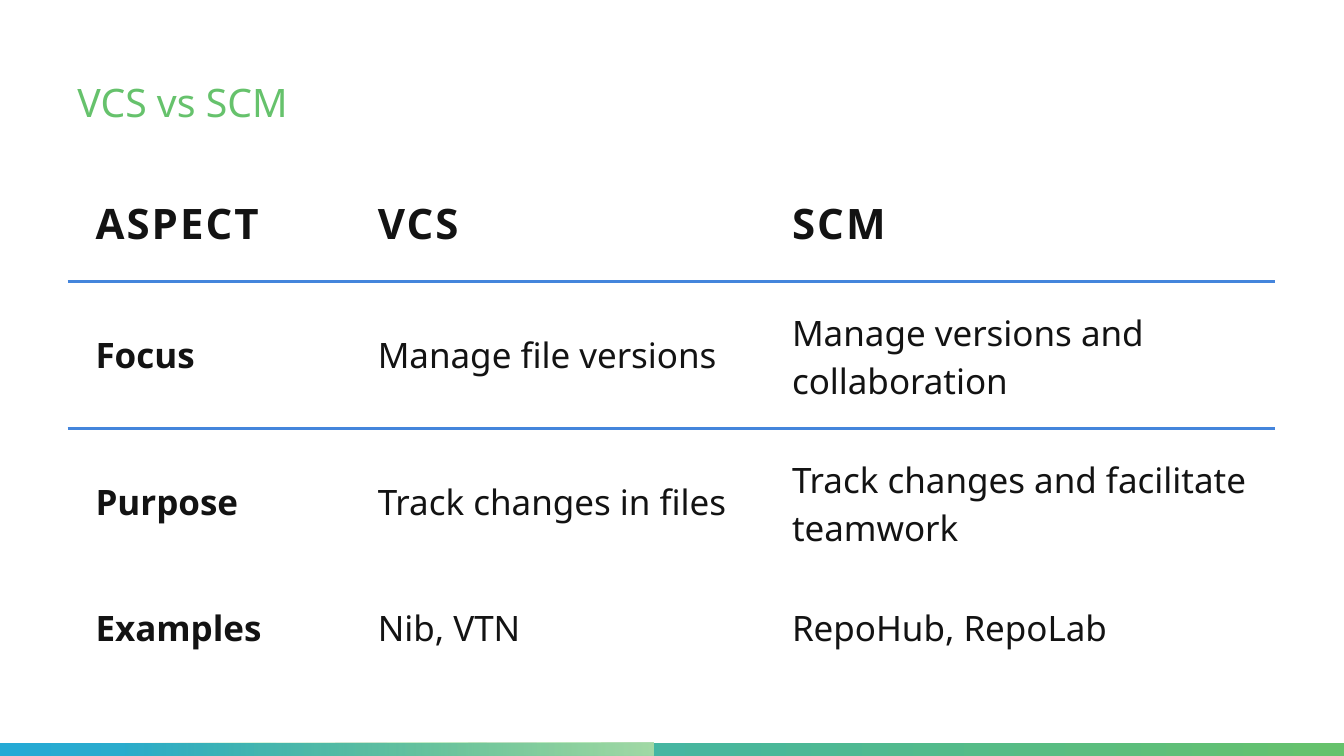
from pptx import Presentation
from pptx import util as u
from pptx.dml import color
from pptx.enum import shapes, text
from pptx.oxml import ns, parse_xml

COLORS = {
    "green": "66C26C",
    "pale": "A3DAA7",
    "blue": "25AAD5",
    "ink": "131313",
    "rule": "4485DC",
}
FONT = "Noto Sans"
PLAIN_STYLE = "{2D5ABB26-0587-4C30-8999-92F81FD0307C}"
WIDTH, HEIGHT = 960, 540
LEFT, CONTENT_WIDTH = 48.24, 862.56
BAR_HEIGHT = 9.2
COLUMNS = [201.6, 295.92, 365.04]
ROWS = [82.8, 105.1, 105.1, 75.6]
CONTENT = [
    ["ASPECT", "VCS", "SCM"],
    ["Focus", "Manage file versions", "Manage versions and collaboration"],
    ["Purpose", "Track changes in files", "Track changes and facilitate teamwork"],
    ["Examples", "Nib, VTN", "RepoHub, RepoLab"],
]


class SlideBuilder:
    def __init__(self, slide):
        self.slide = slide

    def style(self, paragraph, size, name, bold=False, spacing=0):
        for run in paragraph.runs:
            run.font.name = FONT
            run.font.size = u.Pt(size)
            run.font.bold = bold
            run.font.color.rgb = color.RGBColor.from_string(COLORS[name])
            if spacing:
                run.font._element.set("spc", str(int(spacing * 100)))

    def bar(self, width, stops):
        shape = self.slide.shapes.add_shape(
            shapes.MSO_SHAPE.RECTANGLE,
            0, u.Pt(HEIGHT - BAR_HEIGHT), u.Pt(width), u.Pt(BAR_HEIGHT))
        shape.shadow.inherit = False
        shape.line.fill.background()
        shape.fill.background()
        stop_xml = "".join(
            f'<a:gs pos="{position * 1000}"><a:srgbClr val="{COLORS[name]}">'
            f'<a:alpha val="{opacity * 1000}"/></a:srgbClr></a:gs>'
            for position, name, opacity in stops)
        gradient = parse_xml(
            f'<a:gradFill {ns.nsdecls("a")} rotWithShape="1"><a:gsLst>{stop_xml}'
            '</a:gsLst><a:lin ang="0" scaled="0"/></a:gradFill>')
        properties = shape._element.spPr
        properties.replace(properties.find(ns.qn("a:noFill")), gradient)

    def title(self, wording, top, height):
        shape = self.slide.shapes.add_textbox(
            u.Pt(LEFT), u.Pt(top), u.Pt(CONTENT_WIDTH), u.Pt(height))
        frame = shape.text_frame
        frame.word_wrap = True
        frame.vertical_anchor = text.MSO_ANCHOR.BOTTOM
        frame.text = wording
        paragraph = frame.paragraphs[0]
        paragraph.line_spacing = 0.9
        self.style(paragraph, 28, "green")

    def border(self, cell, side):
        cell._tc.get_or_add_tcPr().insert(0, parse_xml(
            f'<a:{side} {ns.nsdecls("a")} w="{u.Pt(2.25)}"><a:solidFill>'
            f'<a:srgbClr val="{COLORS["rule"]}"/></a:solidFill></a:{side}>'))

    def table(self, top, content):
        table = self.slide.shapes.add_table(
            len(ROWS), len(COLUMNS), u.Pt(LEFT), u.Pt(top),
            u.Pt(CONTENT_WIDTH), u.Pt(sum(ROWS))).table
        table.horz_banding = False
        table._tbl.tblPr.find(ns.qn("a:tableStyleId")).text = PLAIN_STYLE
        for column, width in zip(table.columns, COLUMNS):
            column.width = u.Pt(width)
        for row, height in zip(table.rows, ROWS):
            row.height = u.Pt(height)
        for i, wordings in enumerate(content):
            for j, wording in enumerate(wordings):
                self.cell(table.cell(i, j), wording, i, j)

    def cell(self, cell, wording, i, j):
        header = i == 0
        cell.fill.background()
        cell.vertical_anchor = text.MSO_ANCHOR.MIDDLE
        cell.margin_left = cell.margin_right = u.Pt(20)
        cell.margin_top = cell.margin_bottom = u.Pt(20)
        cell.text_frame.text = wording
        self.style(cell.text_frame.paragraphs[0], 30 if header else 25, "ink",
                   bold=header or j == 0, spacing=1.5 if header else 0)
        if i < 2:
            self.border(cell, "lnB" if header else "lnT")


def main():
    presentation = Presentation()
    presentation.slide_width = u.Pt(WIDTH)
    presentation.slide_height = u.Pt(HEIGHT)
    builder = SlideBuilder(
        presentation.slides.add_slide(presentation.slide_layouts[6]))
    builder.bar(WIDTH, [(0, "blue", 100), (100, "green", 100)])
    builder.bar(467, [(19, "green", 0), (100, "pale", 100)])
    builder.title("VCS vs SCM", 36, 57.6)
    builder.table(118.08, CONTENT)
    presentation.save("out.pptx")


if __name__ == "__main__":
    main()
